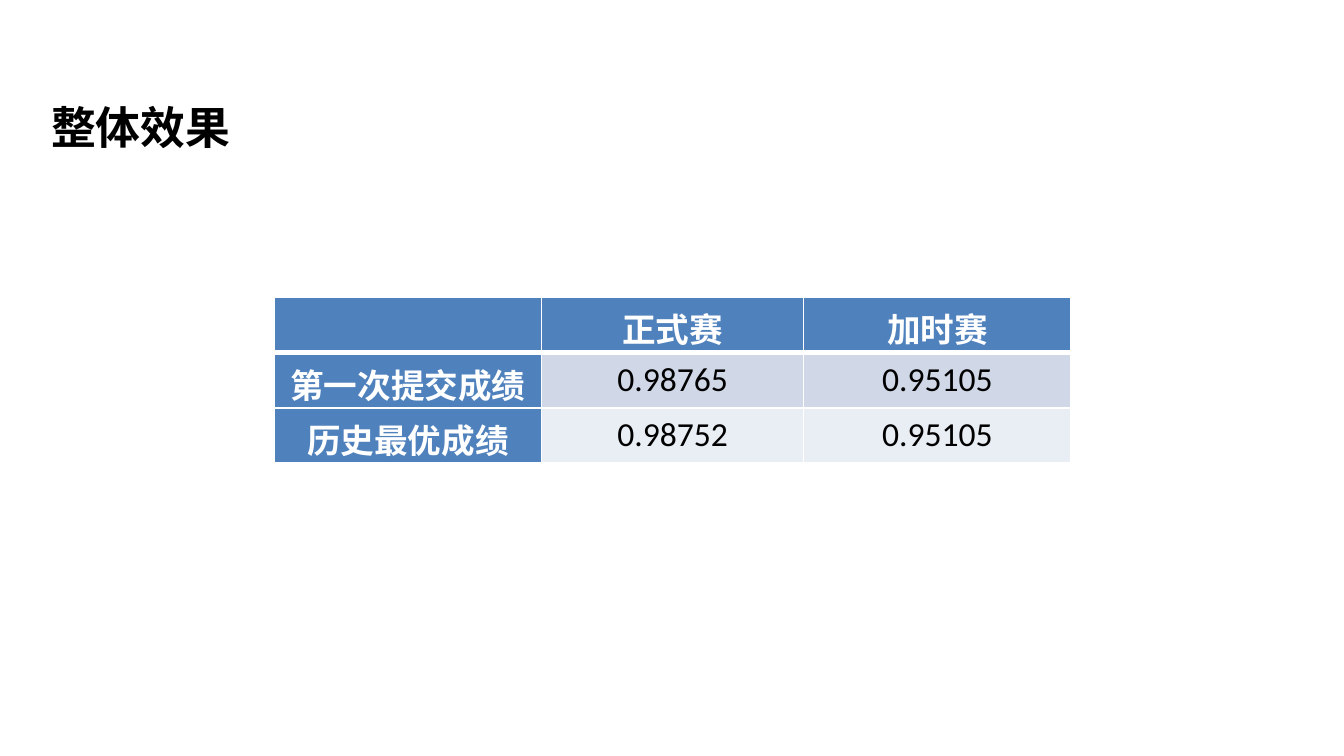
from lxml import etree
from pptx import Presentation
from pptx.dml.color import RGBColor
from pptx.enum.text import MSO_ANCHOR, PP_ALIGN
from pptx.oxml.ns import qn
from pptx.util import Inches, Pt

SLIDE_WIDTH = 10
HEADER_BLUE = "4F81BD"
BAND_FILLS = ["D0D8E8", "E9EDF4"]
WHITE = "FFFFFF"
BLACK = "000000"

SCORES = [
    ["", "正式赛", "加时赛"],
    ["第一次提交成绩", "0.98765", "0.95105"],
    ["历史最优成绩", "0.98752", "0.95105"],
]
COLUMN_WIDTHS = [1.99, 1.95, 1.99]
ROW_HEIGHT = 0.4


def rgb(color):
    return RGBColor.from_string(color)


def format_text(paragraph, size, font_name, color, bold):
    for run in paragraph.runs:
        font = run.font
        font.size, font.name, font.bold = Pt(size), font_name, bold
        font.color.rgb = rgb(color)


def add_title(slide, text):
    title = slide.shapes.title
    title.left, title.top = Inches(0.28), Inches(0.69)
    title.width, title.height = Inches(1.65), Inches(0.5)
    frame = title.text_frame
    frame.text = text
    frame.vertical_anchor = MSO_ANCHOR.MIDDLE
    frame.word_wrap = False
    paragraph = frame.paragraphs[0]
    paragraph.alignment = PP_ALIGN.LEFT
    format_text(paragraph, 24, "Noto Sans CJK SC", BLACK, True)
    for run in paragraph.runs:
        east_asian = etree.SubElement(run.font._element, qn("a:ea"))
        east_asian.set("typeface", "Noto Sans CJK SC")


def set_borders(cell, bottom_width, top_width):
    """Draw white cell borders; they must precede the fill in the XML."""
    properties = cell._tc.get_or_add_tcPr()
    widths = {"a:lnL": 1, "a:lnR": 1, "a:lnT": top_width, "a:lnB": bottom_width}
    for tag, width in widths.items():
        line = etree.SubElement(properties, qn(tag), w=str(Pt(width)))
        fill = etree.SubElement(line, qn("a:solidFill"))
        etree.SubElement(fill, qn("a:srgbClr"), val=WHITE)


def format_cell(cell, text, row, column):
    is_heading = row == 0 or column == 0
    set_borders(cell, 3 if row == 0 else 1, 3 if row == 1 else 1)
    cell.margin_bottom = Inches(0)
    cell.fill.solid()
    cell.fill.fore_color.rgb = rgb(HEADER_BLUE if is_heading else BAND_FILLS[row - 1])
    cell.text_frame.text = text
    paragraph = cell.text_frame.paragraphs[0]
    paragraph.alignment = PP_ALIGN.CENTER
    if is_heading:
        format_text(paragraph, 18, "Arial", WHITE, True)
    else:
        format_text(paragraph, 18, "Calibri", BLACK, False)


def add_score_table(slide):
    table = slide.shapes.add_table(
        len(SCORES), len(COLUMN_WIDTHS), Inches(2.04), Inches(2.21),
        Inches(sum(COLUMN_WIDTHS)), Inches(ROW_HEIGHT * len(SCORES)),
    ).table
    for column, width in zip(table.columns, COLUMN_WIDTHS):
        column.width = Inches(width)
    for row in table.rows:
        row.height = Inches(ROW_HEIGHT)
    for row, texts in enumerate(SCORES):
        for column, text in enumerate(texts):
            format_cell(table.cell(row, column), text, row, column)


def main():
    presentation = Presentation()
    presentation.slide_width = Inches(SLIDE_WIDTH)
    presentation.slide_height = Inches(SLIDE_WIDTH * 9 / 16)
    slide = presentation.slides.add_slide(presentation.slide_layouts[5])
    add_title(slide, "整体效果")
    add_score_table(slide)
    presentation.save("out.pptx")


if __name__ == "__main__":
    main()
